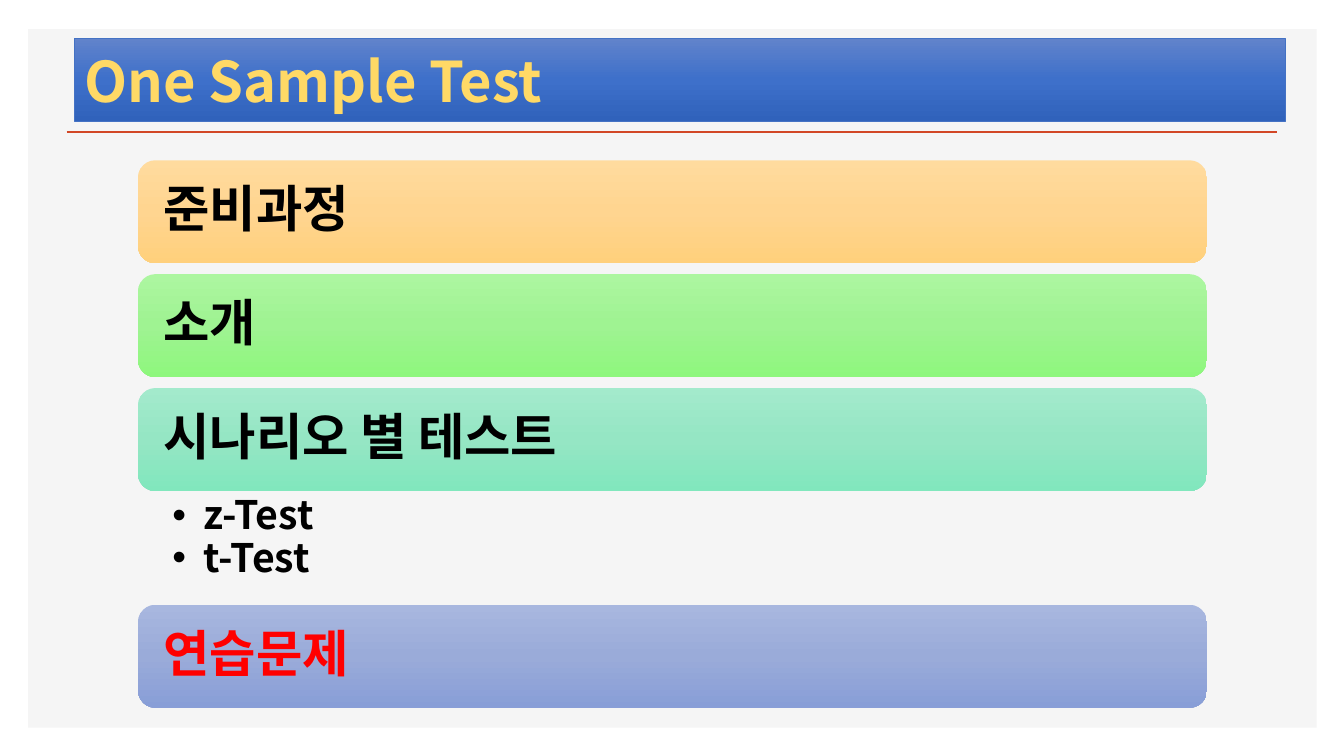
import copy

import pptx
import pptx.dml.color
import pptx.enum.shapes
import pptx.enum.text
import pptx.oxml
import pptx.oxml.ns
import pptx.util
from lxml import etree

PX = 9144
FONT = "Noto Sans CJK KR"
COLORS = {
    "panel": "F5F5F5", "rule": "D24726", "title": "FFD966", "border": "4472C4",
    "text": "000000", "accent": "FF0000",
}
GRADIENTS = {
    "title": ("6183CB", "3E70CA", "3062BB"),
    "orange": ("FFDB9E", "FFD590", "FFD07C"),
    "green": ("ACF6A0", "9FF392", "8EF77D"),
    "teal": ("A3EACC", "95E6C4", "81E7BD"),
    "blue": ("A8B7DF", "9AABD9", "889ED7"),
}
SECTIONS = [
    ("준비과정", "orange", "text", []),
    ("소개", "green", "text", []),
    ("시나리오 별 테스트", "teal", "text", ["z-Test", "t-Test"]),
    ("연습문제", "blue", "accent", []),
]


def rgb(value):
    """Return the colour for a hex string."""
    return pptx.dml.color.RGBColor.from_string(value)


def place(shape, x, y, w, h):
    """Move and size a shape in px."""
    shape.left, shape.top, shape.width, shape.height = (v * PX for v in (x, y, w, h))


def fill_gradient(shape, name):
    """Fill a shape with a vertical gradient of three even stops."""
    fill = shape.fill
    fill.gradient()
    fill.gradient_angle = 270
    stops = shape.element.find(".//" + pptx.oxml.ns.qn("a:gsLst"))
    stops.insert(1, copy.deepcopy(stops[0]))
    for i, (stop, color) in enumerate(zip(fill.gradient_stops, GRADIENTS[name])):
        stop.position = i / 2
        stop.color.rgb = rgb(color)


def format_frame(tf, left, top, anchor):
    """Set wrapping, margins and anchor of a text frame."""
    tf.word_wrap = True
    tf.auto_size = pptx.enum.text.MSO_AUTO_SIZE.NONE
    tf.margin_left = tf.margin_right = left * PX
    tf.margin_top = tf.margin_bottom = top * PX
    tf.vertical_anchor = anchor


def format_paragraph(p, size, color, spacing):
    """Set alignment, spacing and bold font of a paragraph."""
    p.alignment = pptx.enum.text.PP_ALIGN.LEFT
    p.line_spacing = spacing
    p.space_before = p.space_after = pptx.util.Pt(0)
    p.font.size = pptx.util.Pt(size)
    p.font.bold = True
    p.font.color.rgb = rgb(COLORS[color])
    p.font.name = FONT
    props = p.font.fill._xPr
    etree.SubElement(props, pptx.oxml.ns.qn("a:ea"), typeface=FONT)


def add_backdrop(s, x, y, w, h):
    """Place the grey panel behind everything and the rule below the title."""
    panel = s.shapes.add_shape(pptx.enum.shapes.MSO_SHAPE.RECTANGLE, 0, 0, 0, 0)
    place(panel, x, y, w, h)
    panel.shadow.inherit = False
    panel.fill.solid()
    panel.fill.fore_color.rgb = rgb(COLORS["panel"])
    panel.line.fill.background()
    rule = s.shapes.add_connector(
        pptx.enum.shapes.MSO_CONNECTOR.STRAIGHT,
        (x + 38) * PX, (y + 102) * PX, (x + w - 39) * PX, (y + 102) * PX)
    rule.line.color.rgb = rgb(COLORS["rule"])
    rule.line.width = pptx.util.Pt(2)
    etree.SubElement(rule.element.spPr, pptx.oxml.ns.qn("a:effectLst"))
    tree = panel.element.getparent()
    tree.insert(2, panel.element)
    tree.insert(3, rule.element)


def fill_title(title, x, y, w, h):
    """Format the title placeholder as a gradient banner."""
    place(title, x, y, w, h)
    fill_gradient(title, "title")
    title.line.color.rgb = rgb(COLORS["border"])
    title.line.width = pptx.util.Pt(0.5)
    tf = title.text_frame
    tf.text = "One Sample Test"
    format_frame(tf, 10, 5, pptx.enum.text.MSO_ANCHOR.MIDDLE)
    format_paragraph(tf.paragraphs[0], 40, "title", 1.0)


def add_bar(s, text, gradient, color, x, y, w, h):
    """Add one rounded section bar."""
    bar = s.shapes.add_shape(pptx.enum.shapes.MSO_SHAPE.ROUNDED_RECTANGLE, 0, 0, 0, 0)
    place(bar, x, y, w, h)
    bar.shadow.inherit = False
    fill_gradient(bar, gradient)
    bar.line.fill.background()
    tf = bar.text_frame
    tf.text = text
    format_frame(tf, 20, 20, pptx.enum.text.MSO_ANCHOR.MIDDLE)
    format_paragraph(tf.paragraphs[0], 36, color, 0.9)


def fill_list(body, items, x, y, w, h):
    """Fill the body placeholder with the bulleted tests."""
    place(body, x, y, w, h)
    tf = body.text_frame
    tf.text = "\n".join(items)
    format_frame(tf, 34, 5, pptx.enum.text.MSO_ANCHOR.TOP)
    for p in tf.paragraphs:
        format_paragraph(p, 28, "text", 0.9)
        props = p._p.get_or_add_pPr()
        props.set("marL", str(31 * PX))
        props.set("indent", str(-31 * PX))


def add_agenda(s, body, x, y, w, bar_h, gap, list_h):
    """Stack the section bars, with the list under its own section."""
    for text, gradient, color, items in SECTIONS:
        add_bar(s, text, gradient, color, x, y, w, bar_h)
        y += bar_h
        if items:
            fill_list(body, items, x, y, w, list_h)
            y += list_h
        else:
            y += gap


def main():
    """Build and save the slide."""
    prs = pptx.Presentation()
    prs.slide_width, prs.slide_height = 1333 * PX, 750 * PX
    s = prs.slides.add_slide(prs.slide_layouts[1])
    add_backdrop(s, 28, 29, 1278, 693)
    fill_title(s.shapes.title, 74, 38, 1201, 82)
    add_agenda(s, s.placeholders[1], 137, 159, 1060, 102, 11, 113)
    prs.save("out.pptx")


if __name__ == "__main__":
    main()
